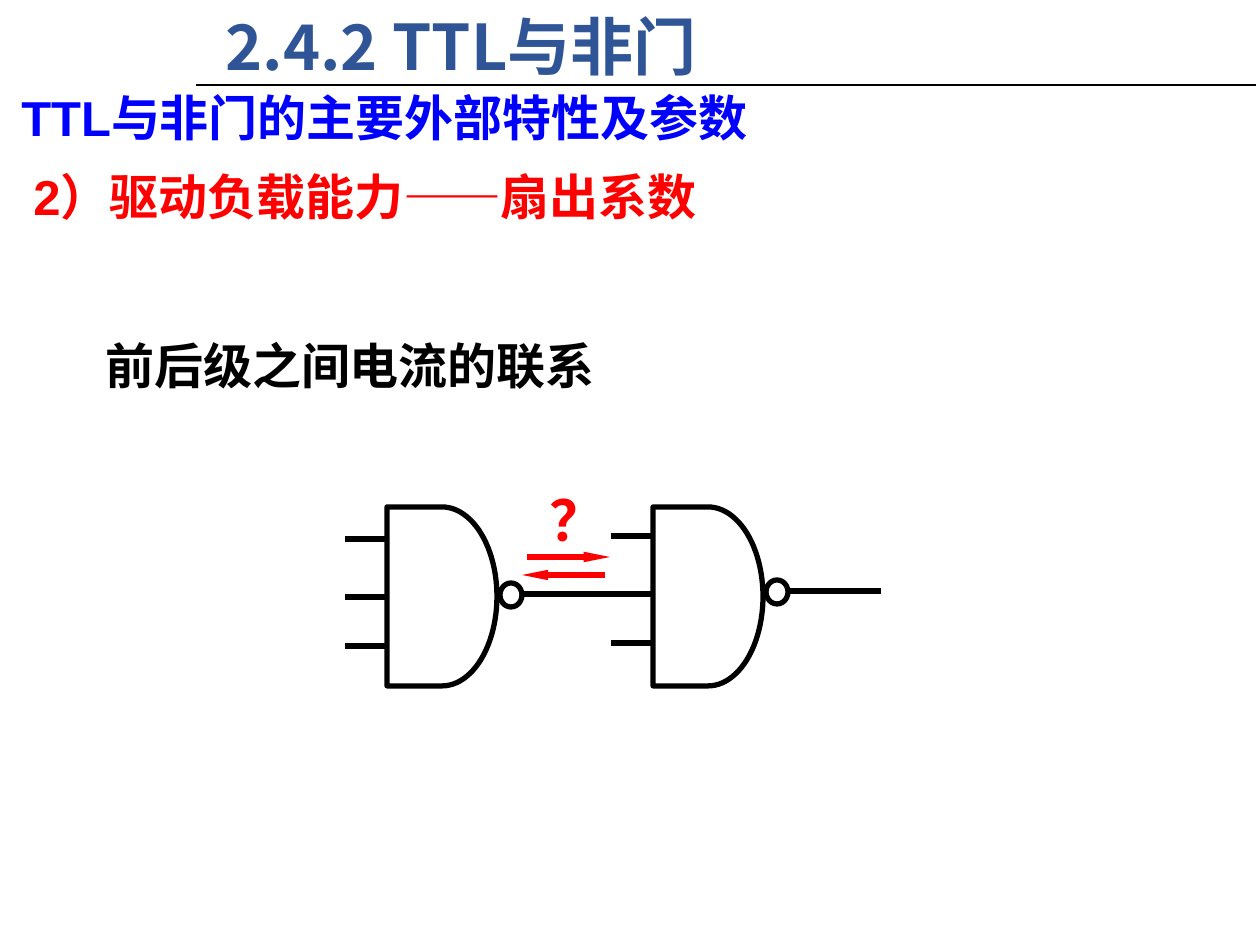
"""Build the slide on the fan-out of a TTL NAND gate."""
from pptx import Presentation
from pptx import util as u
from pptx.dml.color import RGBColor
from pptx.enum import shapes, text
from pptx.oxml.ns import qn
from lxml import etree

SCALE = 914400 / 126
THEME = {
    "title": "2F5597", "heading": "0000FF", "accent": "FF0000", "ink": "000000",
    "title_size": 36, "body_size": 28, "mark_size": 32,
    "rule": 1.25, "stroke": 3,
    "cjk": "Noto Sans CJK SC", "sans": "Arial", "serif": "Times New Roman",
}
TITLE = ("2.4.2 TTL与非门", (213, 1, 1043, 89))
LABELS = [
    ("TTL与非门的主要外部特性及参数", (9, 81, 1172, 72), {"color": "heading"}),
    ("2）驱动负载能力——扇出系数", (21, 154, 803, 83),
     {"color": "accent", "anchor": text.MSO_ANCHOR.MIDDLE}),
    ("前后级之间电流的联系", (93, 329, 708, 72), {"color": "ink", "latin": "cjk"}),
    ("？", (537, 479, 111, 79),
     {"color": "accent", "latin": "serif", "size": "mark_size"}),
]
TITLE_RULE = (196, 85, 1256, 85)
GATES = [(387, 0), (653, -3)]
GATE_TOP, GATE_SIZE = 507, (110, 179)
INPUT_LEVELS, INPUT_LENGTH = (539, 597, 646), 42
BUBBLE_OFFSET, BUBBLE_TOP, BUBBLE_SIZE = 113, 583, (22, 24)
OUTPUT_WIRES = [(521, 594, 614, 594), (788, 591, 881, 591)]
CURRENT_ARROWS = [(527, 557, 610, 557), (605, 575, 522, 575)]


def px(value):
    return u.Emu(round(value * SCALE))


def color(name):
    return RGBColor.from_string(THEME[name])


def write(shape, words, *, color_name, size="body_size", latin="sans",
          anchor=text.MSO_ANCHOR.TOP):
    frame = shape.text_frame
    frame.word_wrap = True
    frame.auto_size = text.MSO_AUTO_SIZE.NONE
    frame.vertical_anchor = anchor
    paragraph = frame.paragraphs[0]
    paragraph.alignment = text.PP_ALIGN.LEFT
    run = paragraph.add_run()
    run.text = words
    font = run.font
    font.name, font.size, font.bold = THEME[latin], u.Pt(THEME[size]), True
    font.color.rgb = color(color_name)
    east_asian = etree.Element(qn("a:ea"), typeface=THEME["cjk"])
    run._r.rPr.find(qn("a:latin")).addnext(east_asian)


def add_line(slide, ends, color_name="ink", width="stroke", arrow=False):
    line = slide.shapes.add_connector(
        shapes.MSO_CONNECTOR.STRAIGHT, *map(px, ends))
    line.line.color.rgb = color(color_name)
    line.line.width = u.Pt(THEME[width])
    properties = line._element.spPr
    if arrow:
        etree.SubElement(properties.find(qn("a:ln")), qn("a:tailEnd"),
                         type="triangle", w="sm", len="lg")
    etree.SubElement(properties, qn("a:effectLst"))


def add_outline(slide, kind, left, top, size):
    shape = slide.shapes.add_shape(kind, *map(px, (left, top, *size)))
    shape.shadow.inherit = False
    shape.fill.background()
    shape.line.color.rgb = color("ink")
    shape.line.width = u.Pt(THEME["stroke"])


def add_gate(slide, left, shift):
    for level in INPUT_LEVELS:
        y = level + shift
        add_line(slide, (left - INPUT_LENGTH, y, left, y))
    add_outline(slide, shapes.MSO_SHAPE.FLOWCHART_DELAY, left, GATE_TOP, GATE_SIZE)
    add_outline(slide, shapes.MSO_SHAPE.OVAL, left + BUBBLE_OFFSET,
                BUBBLE_TOP + shift, BUBBLE_SIZE)


def main():
    presentation = Presentation()
    presentation.slide_width, presentation.slide_height = px(1260), px(945)
    slide = presentation.slides.add_slide(presentation.slide_layouts[5])
    title = slide.shapes.title
    words, box = TITLE
    title.left, title.top, title.width, title.height = map(px, box)
    write(title, words, color_name="title", size="title_size", latin="cjk")
    add_line(slide, TITLE_RULE, width="rule")
    for words, box, style in LABELS:
        style = dict(style)
        label = slide.shapes.add_textbox(*map(px, box))
        write(label, words, color_name=style.pop("color"), **style)
    for left, shift in GATES:
        add_gate(slide, left, shift)
    for ends in OUTPUT_WIRES:
        add_line(slide, ends)
    for ends in CURRENT_ARROWS:
        add_line(slide, ends, "accent", arrow=True)
    presentation.save("out.pptx")


if __name__ == "__main__":
    main()
